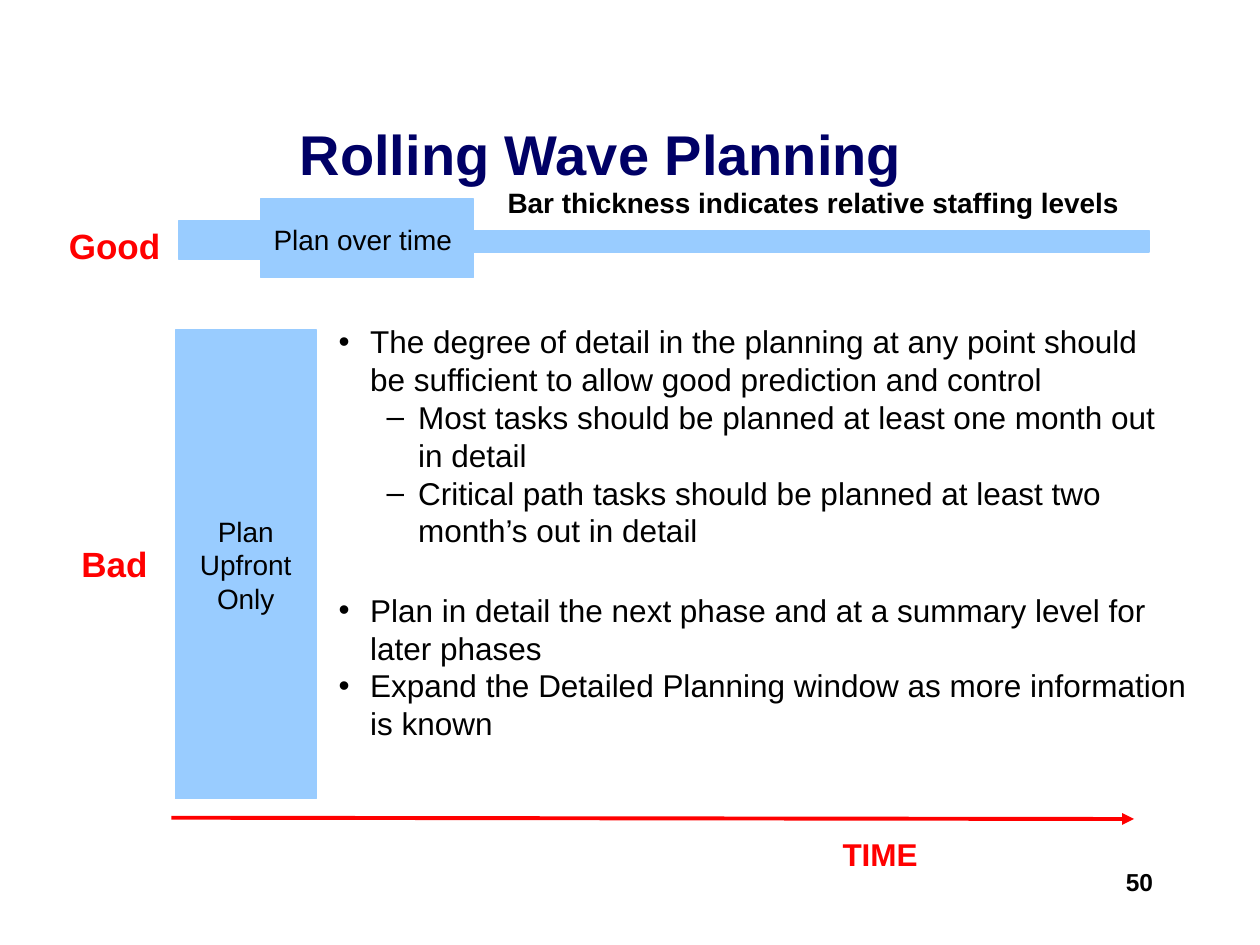
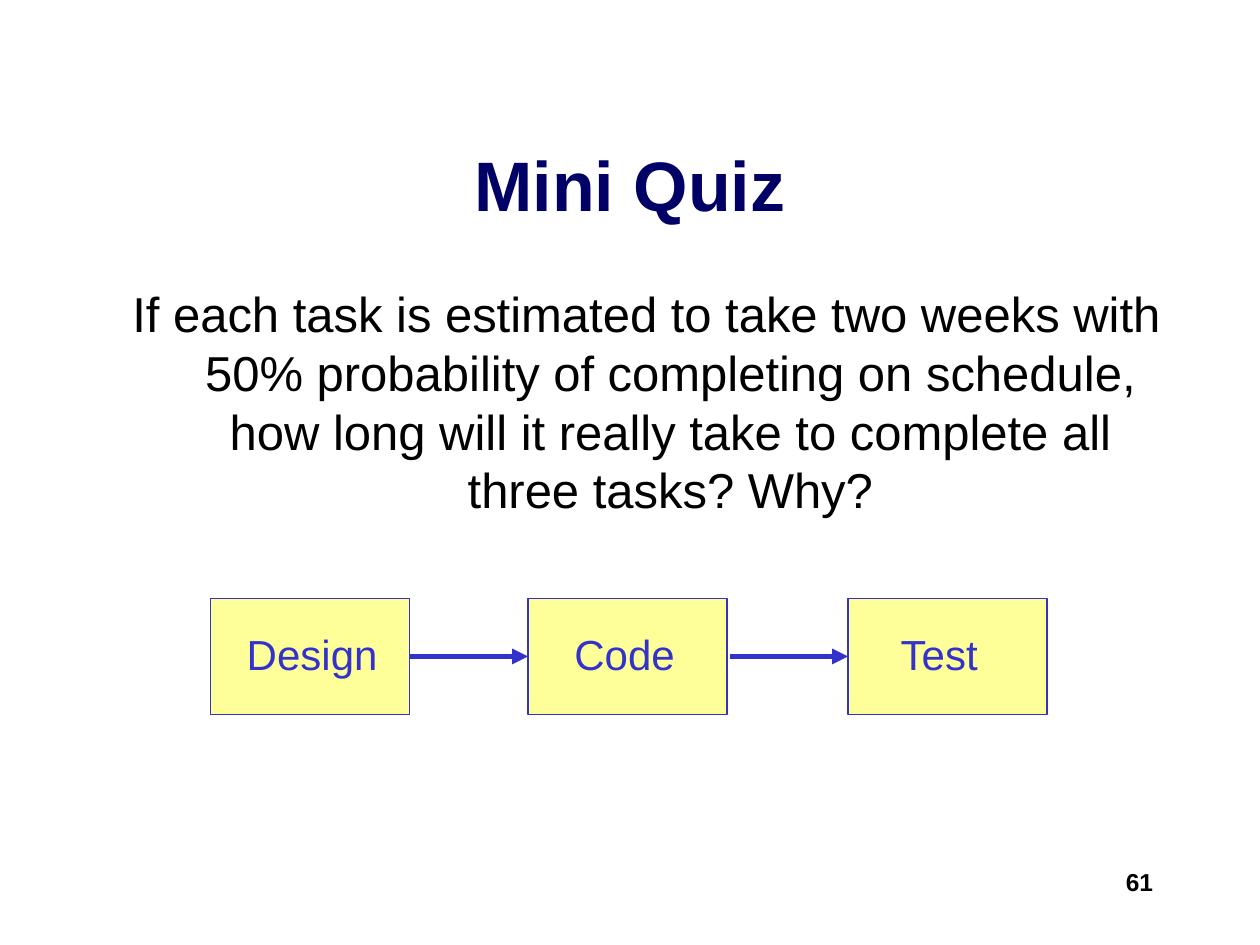
from dataclasses import dataclass

from lxml.etree import SubElement
from pptx import Presentation
from pptx.dml.color import RGBColor
from pptx.enum.shapes import MSO_CONNECTOR, MSO_SHAPE
from pptx.enum.text import MSO_ANCHOR as Anchor, PP_ALIGN as Align
from pptx.oxml.ns import qn
from pptx.slide import Slide
from pptx.text.text import TextFrame
from pptx.util import Inches, Pt

FONT = "Arial"
NAVY = RGBColor(0x00, 0x00, 0x66)
BLACK = RGBColor(0x00, 0x00, 0x00)
RED = RGBColor(0xFF, 0x00, 0x00)
SKY = RGBColor(0x99, 0xCC, 0xFF)
YELLOW = RGBColor(0xFF, 0xFF, 0x99)
BLUE = RGBColor(0x33, 0x33, 0xCC)


@dataclass(frozen=True)
class Area:
    """A place on a slide, in inches."""
    left: float
    top: float
    width: float
    height: float

    def lengths(self) -> tuple:
        """Return the four measures as slide lengths."""
        return tuple(map(Inches, (self.left, self.top, self.width, self.height)))


@dataclass(frozen=True)
class Style:
    """The look of a text."""
    size: int
    color: RGBColor = BLACK
    bold: bool = False
    align: Align = Align.CENTER


@dataclass(frozen=True)
class Label:
    """A text with its place and look."""
    text: str
    area: Area
    style: Style
    anchor: Anchor = Anchor.TOP


@dataclass(frozen=True)
class Bullet:
    """A list entry with its level."""
    text: str
    level: int = 0


@dataclass(frozen=True)
class Task:
    """A task box with the place of its name."""
    name: str
    left: float
    name_left: float


TITLE_AREAS = (Area(0.52, 0.78, 8.5, 0.87), Area(0.75, 0.83, 8.5, 1.25))
NUMBER_AREA = Area(7.17, 6.83, 2.08, 0.5)
NUMBER_STYLE = Style(14, bold=True, align=Align.RIGHT)
BULLET_STYLE = Style(18, align=Align.LEFT)
NOTE_STYLE = Style(16)
VERDICT_STYLE = Style(20, RED, bold=True)
TASK_STYLE = Style(24, BLUE, align=Align.LEFT)

UPFRONT_BAR = Area(1.39, 2.62, 1.12, 3.72)
STAFFING_BARS = (
    Area(1.42, 1.83, 7.7, 0.17),
    Area(2.07, 1.58, 1.69, 0.62),
    Area(1.42, 1.75, 0.66, 0.31),
)
WAVE_LABELS = (
    Label("Good", Area(0.36, 1.73, 1.1, 0.44), VERDICT_STYLE),
    Label("Bad", Area(0.36, 4.26, 1.1, 0.44), VERDICT_STYLE),
    Label("TIME", Area(6.49, 6.58, 0.99, 0.4), Style(18, RED, bold=True)),
    Label("Plan over time", Area(2.03, 1.71, 1.7, 0.38), NOTE_STYLE, Anchor.MIDDLE),
    Label("Bar thickness indicates relative staffing levels", Area(3.93, 1.42, 5.3, 0.37),
          Style(16, bold=True, align=Align.LEFT)),
)
DETAIL_BULLETS = (
    Bullet("The degree of detail in the planning at any point should\v"
           "be sufficient to allow good prediction and control"),
    Bullet("Most tasks should be planned at least one month out in detail", 1),
    Bullet("Critical path tasks should be planned at least two\vmonth’s out in detail", 1),
)
PHASE_BULLETS = (
    Bullet("Plan in detail the next phase and at a summary level for\vlater phases"),
    Bullet("Expand the Detailed Planning window as more information\vis known"),
)
QUESTION = ("If each task is estimated to take two weeks with 50% probability of completing "
            "on schedule, how long will it really take to complete all three tasks? Why?")
TASK_TOP, TASK_WIDTH, TASK_HEIGHT = 4.75, 1.58, 0.92
TASKS = (Task("Design", 1.67, 1.86), Task("Code", 4.19, 4.46), Task("Test", 6.73, 7.05))
NAME_TOP, NAME_WIDTH, NAME_HEIGHT = 4.94, 1.35, 0.5
ARROW_LENGTH = 0.94


def style_paragraphs(frame: TextFrame, style: Style) -> None:
    """Give all paragraphs of a frame one look."""
    for para in frame.paragraphs:
        para.alignment = style.align
        font = para.font
        font.name, font.size, font.bold = FONT, Pt(style.size), style.bold
        font.color.rgb = style.color


def set_indent(para, left: float, first: float) -> None:
    """Set the left margin and first-line indent of a paragraph."""
    properties = para._p.get_or_add_pPr()
    properties.set("marL", str(Inches(left)))
    properties.set("indent", str(Inches(first)))


def add_text_frame(page: Slide, area: Area) -> TextFrame:
    """Add a wrapping text box and return its text frame."""
    frame = page.shapes.add_textbox(*area.lengths()).text_frame
    frame.word_wrap = True
    return frame


def add_label(page: Slide, label: Label) -> TextFrame:
    """Add a text in one look."""
    frame = add_text_frame(page, label.area)
    frame.vertical_anchor = label.anchor
    frame.text = label.text
    style_paragraphs(frame, label.style)
    return frame


def add_bullets(page: Slide, area: Area, bullets: tuple[Bullet, ...]) -> None:
    """Add a list with one or two levels."""
    frame = add_text_frame(page, area)
    for index, bullet in enumerate(bullets):
        para = frame.add_paragraph() if index else frame.paragraphs[0]
        para.text = bullet.text
        para.level = bullet.level
        set_indent(para, (0.25, 0.63)[bullet.level], -0.25)
        properties = para._p.get_or_add_pPr()
        color = SubElement(properties, qn("a:buClr"))
        SubElement(color, qn("a:srgbClr"), val=str(BLACK))
        SubElement(properties, qn("a:buFont"), typeface=FONT)
        SubElement(properties, qn("a:buChar"), char="•–"[bullet.level])
    style_paragraphs(frame, BULLET_STYLE)


def add_bar(page: Slide, area: Area, fill: RGBColor, line: RGBColor) -> TextFrame:
    """Add a filled rectangle and return its text frame."""
    bar = page.shapes.add_shape(MSO_SHAPE.RECTANGLE, *area.lengths())
    bar.shadow.inherit = False
    bar.fill.solid()
    bar.fill.fore_color.rgb = fill
    bar.line.color.rgb = line
    bar.line.width = Pt(0.75)
    return bar.text_frame


def add_arrow(page: Slide, start: tuple[float, float], end: tuple[float, float],
              color: RGBColor, width: float) -> None:
    """Add a straight line with an arrowhead at its end."""
    arrow = page.shapes.add_connector(MSO_CONNECTOR.STRAIGHT, *map(Inches, start + end))
    arrow.line.color.rgb = color
    arrow.line.width = Pt(width)
    SubElement(arrow.line._get_or_add_ln(), qn("a:tailEnd"), type="triangle")
    SubElement(arrow._element.spPr, qn("a:effectLst"))


def add_page(deck, title: str, area: Area, size: int, number: int) -> Slide:
    """Add a slide with its title and number."""
    page = deck.slides.add_slide(deck.slide_layouts[6])
    add_label(page, Label(title, area, Style(size, NAVY, bold=True), Anchor.MIDDLE))
    add_label(page, Label(str(number), NUMBER_AREA, NUMBER_STYLE))
    return page


def build_wave_page(deck) -> None:
    """Build the slide on rolling wave planning."""
    page = add_page(deck, "Rolling Wave Planning", TITLE_AREAS[0], 32, 50)
    add_bullets(page, Area(2.59, 2.51, 6.76, 2.2), DETAIL_BULLETS)
    frame = add_bar(page, UPFRONT_BAR, SKY, SKY)
    frame.vertical_anchor = Anchor.MIDDLE
    frame.text = "Plan\nUpfront\nOnly"
    style_paragraphs(frame, NOTE_STYLE)
    add_bullets(page, Area(2.59, 4.64, 7.1, 1.6), PHASE_BULLETS)
    add_arrow(page, (1.36, 6.49), (9, 6.5), RED, 2.25)
    for area in STAFFING_BARS:
        add_bar(page, area, SKY, SKY)
    for label in WAVE_LABELS:
        add_label(page, label)


def build_quiz_page(deck) -> None:
    """Build the slide with the quiz question and its tasks."""
    page = add_page(deck, "Mini Quiz", TITLE_AREAS[1], 40, 61)
    question = add_label(page, Label(QUESTION, Area(0.88, 2.2, 8.5, 4.5), Style(28)))
    set_indent(question.paragraphs[0], 0.38, -0.38)
    for task in TASKS:
        add_bar(page, Area(task.left, TASK_TOP, TASK_WIDTH, TASK_HEIGHT), YELLOW, BLUE)
        name_area = Area(task.name_left, NAME_TOP, NAME_WIDTH, NAME_HEIGHT)
        add_label(page, Label(task.name, name_area, TASK_STYLE))
    middle = TASK_TOP + TASK_HEIGHT / 2
    for task in TASKS[1:]:
        add_arrow(page, (task.left - ARROW_LENGTH, middle), (task.left, middle), BLUE, 3)


def main() -> None:
    """Build and save the deck."""
    deck = Presentation()
    deck.slide_width, deck.slide_height = Inches(10), Inches(7.5)
    build_wave_page(deck)
    build_quiz_page(deck)
    deck.save("out.pptx")


if __name__ == "__main__":
    main()
